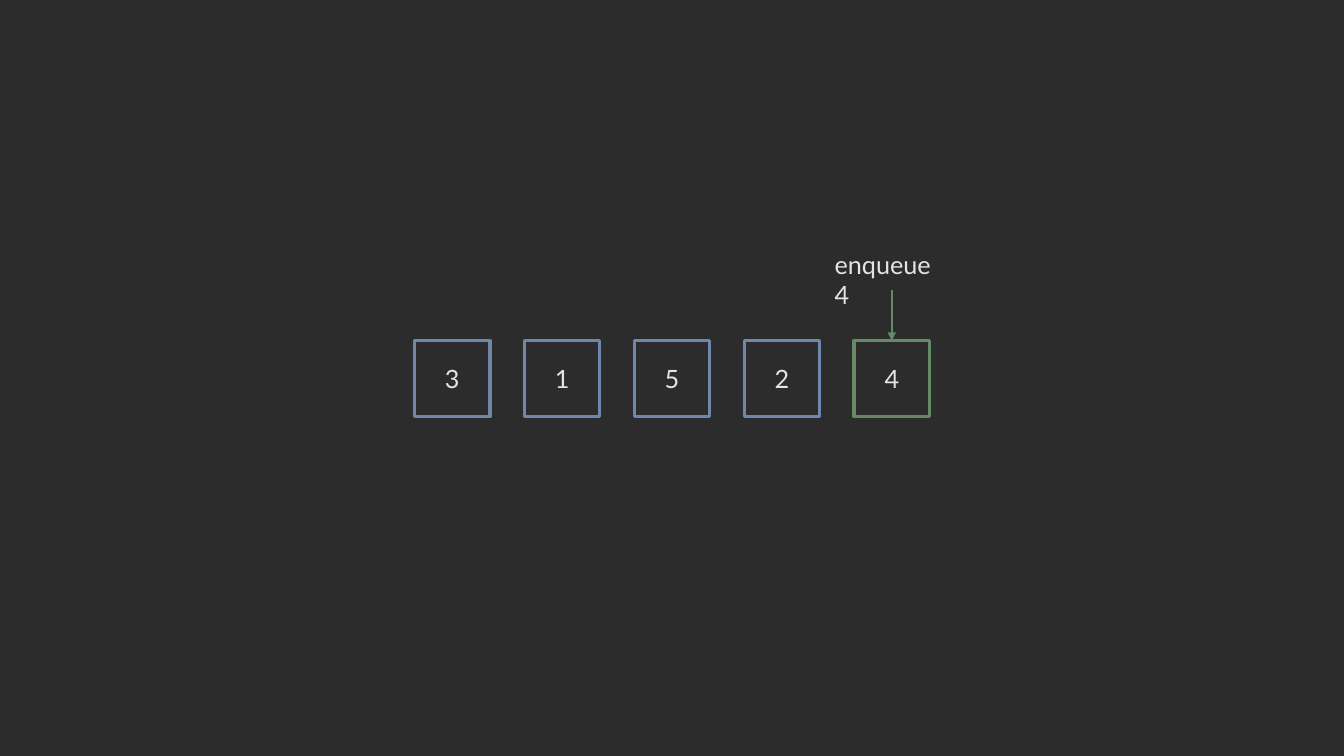
from lxml import etree
from pptx import Presentation
from pptx.dml.color import RGBColor
from pptx.enum import shapes, text
from pptx.oxml import ns
from pptx.util import Inches, Pt

BLUE, GREEN, LIGHT, DARK = "6D88A8", "668A68", "E4E4E4", "2C2C2C"
SIDE, PITCH = 0.75, 1.09


def paint(color, value):
    color.rgb = RGBColor.from_string(value)


def write(shape, words):
    frame = shape.text_frame
    frame.text = words
    font = frame.paragraphs[0].runs[0].font
    font.name, font.size = "Lato", Pt(18)
    paint(font.color, LIGHT)
    return frame


def add_cell(slide, left, top, value, color):
    cell = slide.shapes.add_shape(
        shapes.MSO_SHAPE.RECTANGLE,
        Inches(left), Inches(top), Inches(SIDE), Inches(SIDE))
    cell.shadow.inherit = False
    cell.fill.background()
    cell.line.width = Pt(2.25)
    paint(cell.line.color, color)
    frame = write(cell, value)
    frame.vertical_anchor = text.MSO_ANCHOR.MIDDLE
    frame.paragraphs[0].alignment = text.PP_ALIGN.CENTER


def add_queue(slide, left, top, values):
    """Draw the values in a row, the newest one in green."""
    last = len(values) - 1
    for i, value in enumerate(values):
        add_cell(slide, left + i * PITCH, top, value,
                 GREEN if i == last else BLUE)


def add_step(slide, left, top, words):
    """Put a label and an arrow above the cell at left, top."""
    label = slide.shapes.add_textbox(
        Inches(left - 0.29), Inches(top - 0.96), Inches(1.3), Inches(0.4))
    write(label, words).word_wrap = True

    mid = Inches(left + SIDE / 2)
    arrow = slide.shapes.add_connector(
        shapes.MSO_CONNECTOR.STRAIGHT, mid, Inches(top - 0.5), mid, Inches(top))
    arrow.line.width = Pt(1.5)
    paint(arrow.line.color, GREEN)
    etree.SubElement(arrow.line._get_or_add_ln(), ns.qn("a:tailEnd"),
                     type="triangle")
    etree.SubElement(arrow._element.spPr, ns.qn("a:effectLst"))


def main():
    deck = Presentation()
    deck.slide_width, deck.slide_height = Inches(13.33), Inches(7.5)
    slide = deck.slides.add_slide(deck.slide_layouts[6])
    slide.background.fill.solid()
    paint(slide.background.fill.fore_color, DARK)

    left, top, values = 4.11, 3.38, "31524"
    add_queue(slide, left, top, values)
    add_step(slide, left + (len(values) - 1) * PITCH, top, "enqueue 4")
    deck.save("out.pptx")


if __name__ == "__main__":
    main()
